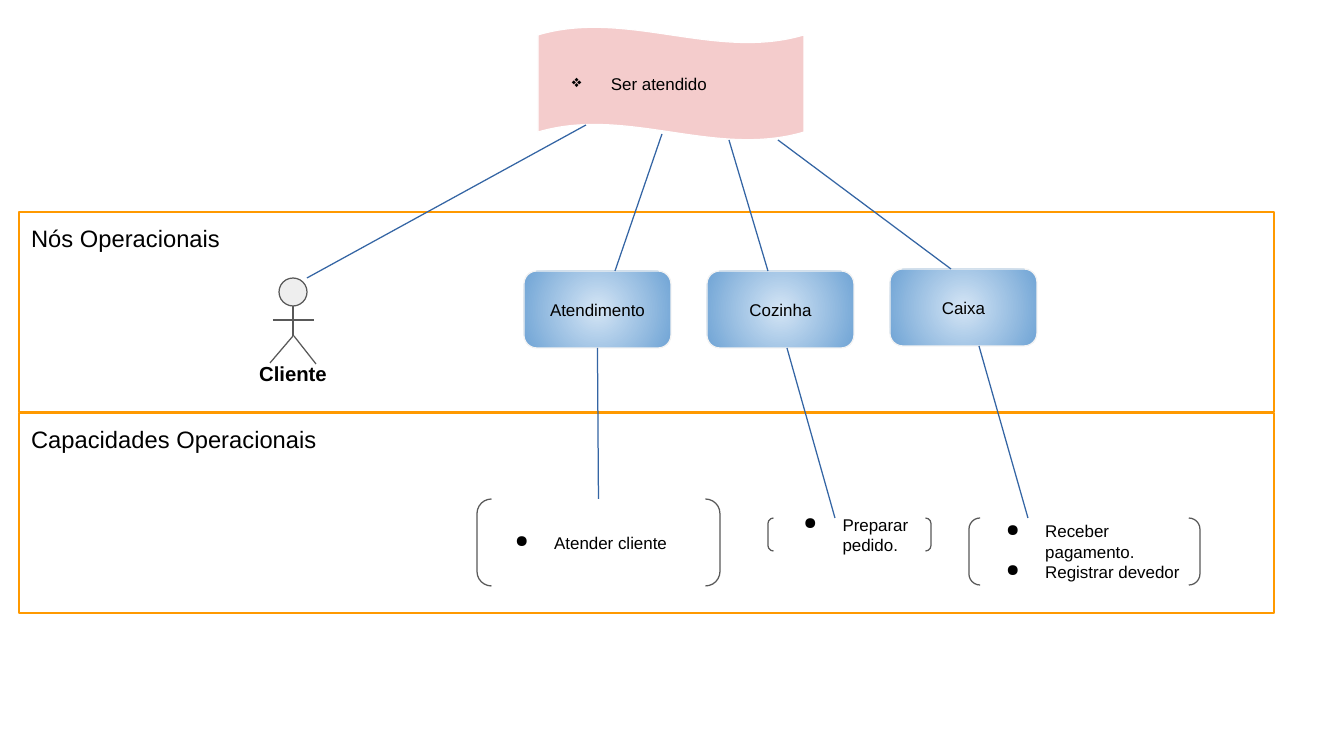
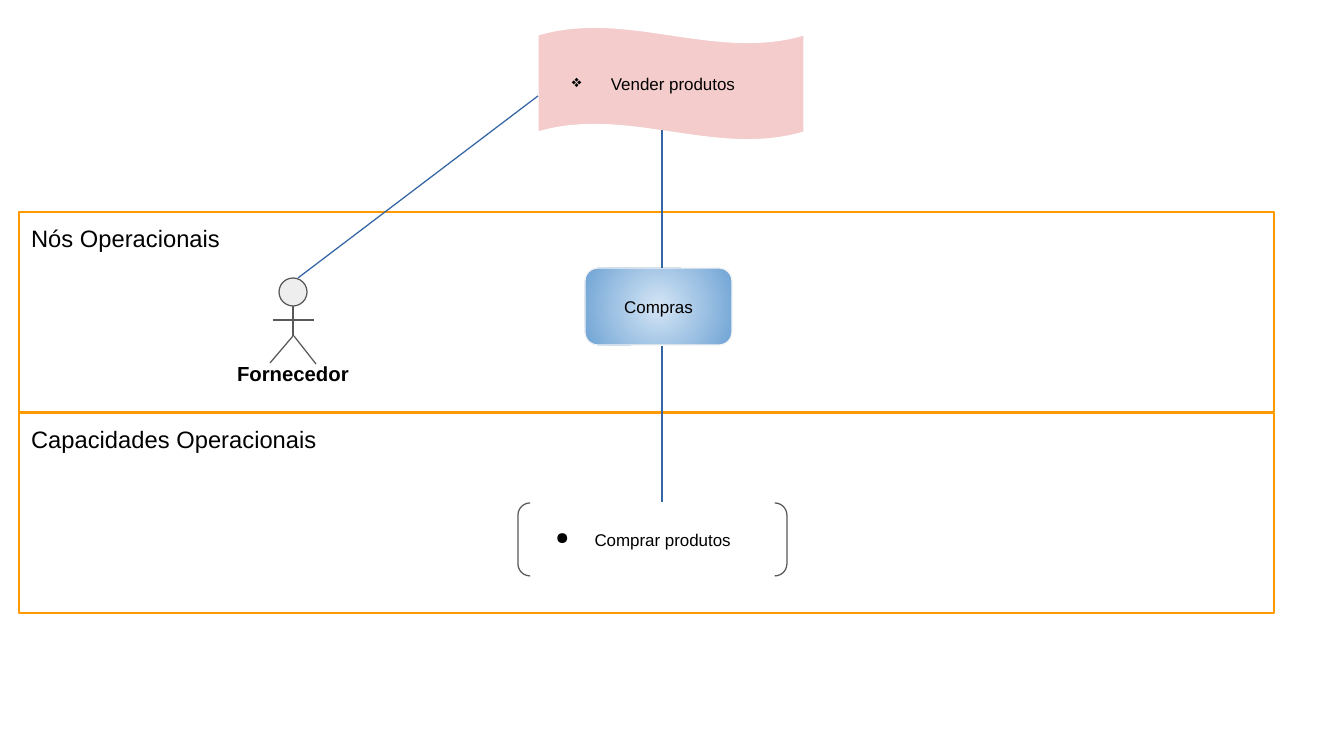
from dataclasses import dataclass

import lxml.etree
import pptx
import pptx.dml.color
import pptx.enum.shapes
import pptx.enum.text
import pptx.oxml.ns
import pptx.shapes.autoshape
import pptx.shapes.connector
import pptx.slide
import pptx.util

RGBColor = pptx.dml.color.RGBColor
ShapeKind = pptx.enum.shapes.MSO_SHAPE
Anchor = pptx.enum.text.MSO_ANCHOR
Align = pptx.enum.text.PP_ALIGN
qn = pptx.oxml.ns.qn

BLACK = RGBColor(0x00, 0x00, 0x00)
WHITE = RGBColor(0xFF, 0xFF, 0xFF)
BAND_ORANGE = RGBColor(0xFF, 0x99, 0x00)
GOAL_PINK = RGBColor(0xF4, 0xCC, 0xCC)
OUTLINE_GREY = RGBColor(0x59, 0x59, 0x59)
HEAD_GREY = RGBColor(0xEE, 0xEE, 0xEE)
NODE_EDGE = RGBColor(0xF3, 0xF3, 0xF3)
NODE_CENTRE = RGBColor(0xD4, 0xE5, 0xF5)
NODE_RIM = RGBColor(0x70, 0xA4, 0xD5)
LINK_BLUE = RGBColor(0x34, 0x65, 0xA4)

FONT = "Arial"
LINE_WIDTH = pptx.util.Pt(0.75)
EMU_PER_PX = pptx.util.Inches(1) / 122
SLIDE_WIDTH, SLIDE_HEIGHT = 1344, 756
INSET = 12
BULLET_MARGIN, BULLET_INDENT = 61, -39
CORNER = 0.167
NODE_WIDTH, NODE_HEIGHT = 147, 77
NODE_LEFT, NODE_PITCH = 524, 183
BAND_TOP, BAND_PITCH = 212, 201
BAND_TITLES = ("Nós Operacionais", "Capacidades Operacionais")


@dataclass(frozen=True)
class Box:
    left: int
    top: int
    width: int
    height: int


@dataclass(frozen=True)
class Line:
    x1: int
    y1: int
    x2: int
    y2: int


@dataclass(frozen=True)
class Node:
    left: int
    top: int
    label: str


@dataclass(frozen=True)
class Capability:
    box: Box
    items: tuple[str, ...]


@dataclass(frozen=True)
class Diagram:
    """One slide; joins pairs a node index with a capability index."""
    goal: str
    actor: str
    nodes: tuple[Node, ...]
    capabilities: tuple[Capability, ...]
    links: tuple[Line, ...]
    joins: tuple[tuple[int, int], ...] = ()


GOAL_BOX = Box(538, 27, 266, 113)
HEAD_BOX = Box(279, 278, 28, 28)
ACTOR_LABEL_BOX = Box(218, 349, 150, 50)
ACTOR_LIMBS = (
    Line(293, 306, 293, 336),
    Line(273, 320, 314, 320),
    Line(293, 336, 270, 363),
    Line(294, 336, 316, 364),
)

DIAGRAMS = (
    Diagram(
        goal="Ser atendido",
        actor="Cliente",
        nodes=(
            Node(NODE_LEFT, 271, "Atendimento"),
            Node(NODE_LEFT + NODE_PITCH, 271, "Cozinha"),
            Node(NODE_LEFT + 2 * NODE_PITCH, 269, "Caixa"),
        ),
        capabilities=(
            Capability(Box(477, 499, 243, 87), ("Atender cliente",)),
            Capability(Box(768, 518, 163, 33), ("Preparar pedido.",)),
            Capability(Box(969, 518, 231, 67), ("Receber pagamento.", "Registrar devedor")),
        ),
        links=(
            Line(729, 140, 768, 271),
            Line(586, 125, 307, 278),
            Line(662, 134, 615, 271),
            Line(778, 140, 951, 269),
            Line(787, 348, 835, 518),
            Line(979, 346, 1028, 518),
        ),
        joins=((0, 0),),
    ),
    Diagram(
        goal="Vender produtos",
        actor="Fornecedor",
        nodes=(Node(585, 268, "Compras"),),
        capabilities=(Capability(Box(518, 503, 269, 73), ("Comprar produtos",)),),
        links=(
            Line(298, 278, 538, 96),
            Line(662, 268, 662, 130),
            Line(662, 346, 662, 502),
        ),
    ),
)


def px(length: int) -> pptx.util.Emu:
    return pptx.util.Emu(round(length * EMU_PER_PX))


def frame(box: Box) -> tuple[pptx.util.Emu, ...]:
    return px(box.left), px(box.top), px(box.width), px(box.height)


def add_bullet(paragraph, character: str) -> None:
    properties = paragraph._p.get_or_add_pPr()
    properties.set("marL", str(px(BULLET_MARGIN)))
    properties.set("indent", str(px(BULLET_INDENT)))
    colour = lxml.etree.Element(qn("a:buClr"))
    lxml.etree.SubElement(colour, qn("a:srgbClr"), {"val": str(BLACK)})
    bullet = lxml.etree.Element(qn("a:buChar"), {"char": character})
    properties.insert(0, colour)
    properties.insert(1, bullet)


def write_text(
    shape: pptx.shapes.autoshape.Shape,
    lines: tuple[str, ...],
    size: int = 10,
    align: Align = Align.LEFT,
    anchor: Anchor = Anchor.MIDDLE,
    bullet: str = "",
    bold: bool = False,
) -> None:
    text_frame = shape.text_frame
    text_frame.word_wrap = True
    text_frame.vertical_anchor = anchor
    text_frame.margin_left = text_frame.margin_right = px(INSET)
    text_frame.margin_top = text_frame.margin_bottom = px(INSET)
    text_frame.text = "\n".join(lines)
    for paragraph in text_frame.paragraphs:
        paragraph.alignment = align
        paragraph.font.name = FONT
        paragraph.font.size = pptx.util.Pt(size)
        paragraph.font.bold = bold
        paragraph.font.color.rgb = BLACK
        if bullet:
            add_bullet(paragraph, bullet)


def add_shape(
    shapes,
    kind: ShapeKind,
    box: Box,
    outline: RGBColor,
    fill: RGBColor | None = None,
    adjustment: float | None = None,
) -> pptx.shapes.autoshape.Shape:
    shape = shapes.add_shape(kind, *frame(box))
    shape.shadow.inherit = False
    shape.line.color.rgb = outline
    shape.line.width = LINE_WIDTH
    if fill is None:
        shape.fill.background()
    else:
        shape.fill.solid()
        shape.fill.fore_color.rgb = fill
    if adjustment is not None:
        shape.adjustments[0] = adjustment
    return shape


def add_line(shapes, line: Line, colour: RGBColor) -> pptx.shapes.connector.Connector:
    connector = shapes.add_connector(
        pptx.enum.shapes.MSO_CONNECTOR.STRAIGHT,
        px(line.x1), px(line.y1), px(line.x2), px(line.y2),
    )
    connector.line.color.rgb = colour
    connector.line.width = LINE_WIDTH
    lxml.etree.SubElement(connector._element.spPr, qn("a:effectLst"))
    return connector


def fill_radially(shape: pptx.shapes.autoshape.Shape) -> None:
    shape.fill.gradient()
    for stop, colour in zip(shape.fill.gradient_stops, (NODE_CENTRE, NODE_RIM)):
        stop.color.rgb = colour
    gradient = shape._element.spPr.find(qn("a:gradFill"))
    linear = gradient.find(qn("a:lin"))
    circle = lxml.etree.Element(qn("a:path"), {"path": "circle"})
    centre = {side: "50000" for side in ("l", "t", "r", "b")}
    lxml.etree.SubElement(circle, qn("a:fillToRect"), centre)
    gradient.replace(linear, circle)


def add_bands(slide: pptx.slide.Slide) -> None:
    for row, title in enumerate(BAND_TITLES):
        box = Box(19, BAND_TOP + row * BAND_PITCH, 1255, 200)
        band = add_shape(slide.shapes, ShapeKind.RECTANGLE, box, BAND_ORANGE)
        write_text(band, (title,), size=14, anchor=Anchor.TOP)


def add_goal(slide: pptx.slide.Slide, goal: str) -> None:
    wave = add_shape(slide.shapes, ShapeKind.WAVE, GOAL_BOX, WHITE, GOAL_PINK, 0.07)
    write_text(wave, (goal,), bullet="❖")


def add_actor(slide: pptx.slide.Slide, name: str) -> None:
    shapes = slide.shapes.add_group_shape().shapes
    add_shape(shapes, ShapeKind.FLOWCHART_CONNECTOR, HEAD_BOX, OUTLINE_GREY, HEAD_GREY)
    for limb in ACTOR_LIMBS:
        add_line(shapes, limb, OUTLINE_GREY)
    label = shapes.add_textbox(*frame(ACTOR_LABEL_BOX))
    write_text(label, (name,), size=12, align=Align.CENTER, anchor=Anchor.TOP, bold=True)


def add_node(slide: pptx.slide.Slide, node: Node) -> pptx.shapes.autoshape.Shape:
    box = Box(node.left, node.top, NODE_WIDTH, NODE_HEIGHT)
    shape = add_shape(
        slide.shapes, ShapeKind.ROUNDED_RECTANGLE, box, NODE_EDGE, adjustment=CORNER
    )
    fill_radially(shape)
    write_text(shape, (node.label,), align=Align.CENTER)
    return shape


def add_capability(
    slide: pptx.slide.Slide, capability: Capability
) -> pptx.shapes.autoshape.Shape:
    shape = add_shape(
        slide.shapes, ShapeKind.DOUBLE_BRACKET, capability.box, OUTLINE_GREY, adjustment=CORNER
    )
    write_text(shape, capability.items, bullet="●")
    return shape


def draw_diagram(slide: pptx.slide.Slide, diagram: Diagram) -> None:
    add_bands(slide)
    add_goal(slide, diagram.goal)
    add_actor(slide, diagram.actor)
    nodes = [add_node(slide, node) for node in diagram.nodes]
    capabilities = [add_capability(slide, item) for item in diagram.capabilities]
    for link in diagram.links:
        add_line(slide.shapes, link, LINK_BLUE)
    for node_index, capability_index in diagram.joins:
        connector = add_line(slide.shapes, Line(0, 0, 0, 0), LINK_BLUE)
        connector.begin_connect(nodes[node_index], 2)
        connector.end_connect(capabilities[capability_index], 0)


def main() -> None:
    presentation = pptx.Presentation()
    presentation.slide_width = px(SLIDE_WIDTH)
    presentation.slide_height = px(SLIDE_HEIGHT)
    blank_layout = presentation.slide_layouts[6]
    for diagram in DIAGRAMS:
        draw_diagram(presentation.slides.add_slide(blank_layout), diagram)
    presentation.save("out.pptx")


if __name__ == "__main__":
    main()
